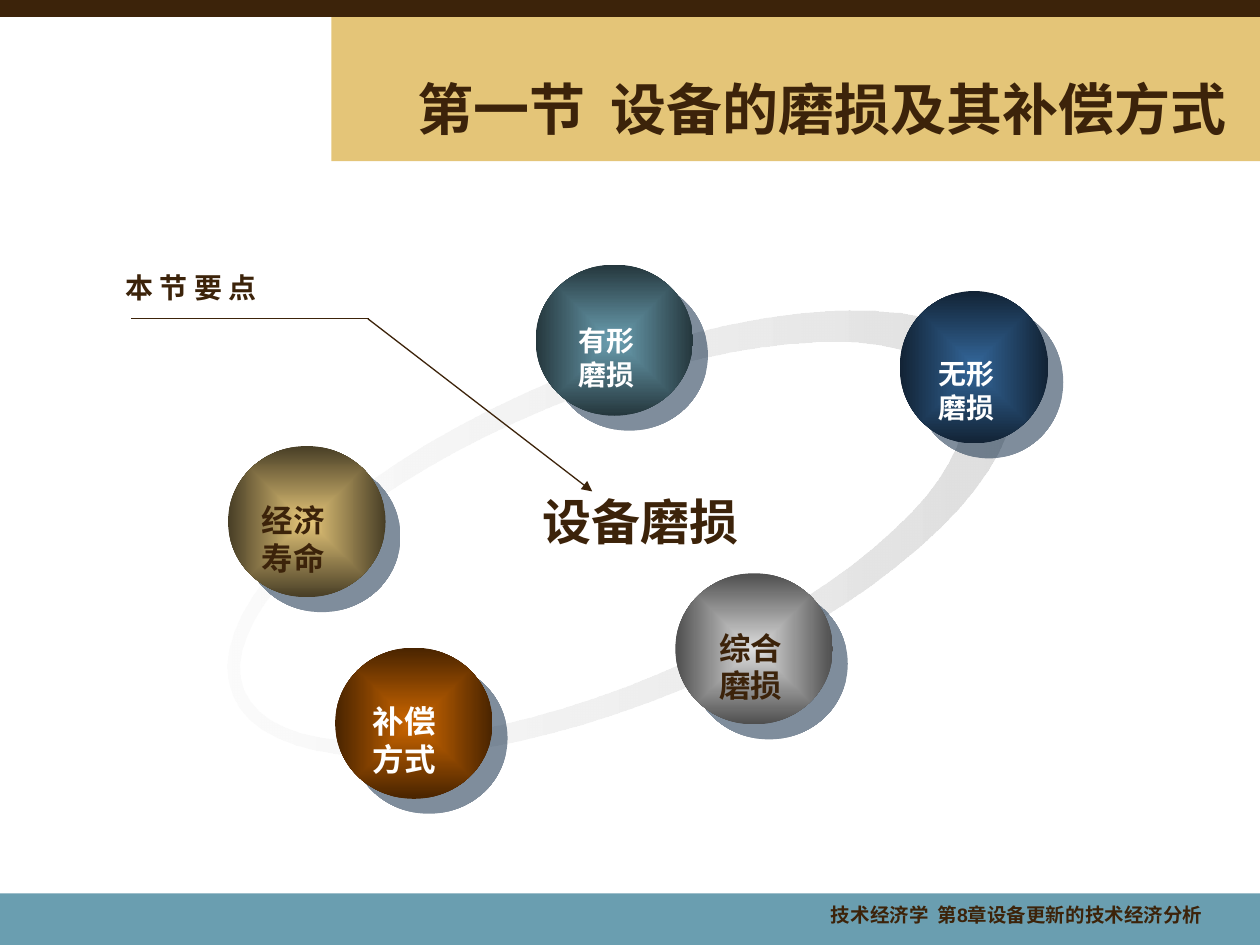
import math
from typing import NamedTuple

from lxml import etree
from pptx import Presentation
from pptx import util as u
from pptx.dml.color import RGBColor
from pptx.enum import shapes, text
from pptx.oxml import ns

COLUMNS, ROWS = 100, 75
CELL = u.Inches(0.1)
FONT = "Arial"
COLORS = {
    "brown": "3C230A", "sand": "E4C578", "teal": "6A9EB0", "white": "FFFFFF",
    "orange": "CC6600", "silver": "DDDDDD", "blue": "336699", "mist": "F5F5F5",
    "dark teal": "25373D", "dark sand": "483E26", "dark orange": "492400",
    "dark silver": "4F4F4F", "dark blue": "122335", "shadow": "001D3A",
}
BALLS = [
    ("有形", "磨损", "teal", "white", 16, (33.5, 0, 12.5, 12), (2.4, 4.2)),
    ("经济", "寿命", "sand", "brown", 18, (9.1, 14.4, 12.5, 12), (1.7, 3.9)),
    ("补偿", "方式", "orange", "white", 18, (17.6, 30.4, 12.5, 12), (2, 3.8)),
    ("综合", "磨损", "silver", "brown", 18, (44.6, 24.5, 12.5, 12), (2.5, 3.9)),
    ("无形", "磨损", "blue", "white", 16, (62.4, 2.1, 11.8, 12.1), (2.1, 4.7)),
]


class Box(NamedTuple):
    left: float
    top: float
    width: float
    height: float

    def inside(self, left, top, width, height):
        return Box(self.left + left, self.top + top, width, height)

    def emu(self):
        return [cells(value) for value in self]


def cells(count):
    return u.Emu(round(count * CELL))


def rgb(name):
    return RGBColor.from_string(COLORS[name])


def add_xml(parent, tag, **attributes):
    return etree.SubElement(parent, ns.qn(tag), attributes)


def add_color(parent, name, opacity=100):
    color = add_xml(parent, "a:srgbClr", val=COLORS[name])
    if opacity < 100:
        add_xml(color, "a:alpha", val=str(opacity * 1000))


def fill_gradient(shape, start, end, angle=None, opacity=100):
    geometry = shape._element.spPr.xpath("a:prstGeom | a:custGeom")[0]
    gradient = etree.Element(ns.qn("a:gradFill"), rotWithShape="1")
    stops = add_xml(gradient, "a:gsLst")
    add_color(add_xml(stops, "a:gs", pos="0"), start, opacity)
    add_color(add_xml(stops, "a:gs", pos="100000"), end)
    if angle is None:
        radial = add_xml(gradient, "a:path", path="rect")
        add_xml(radial, "a:fillToRect", l="50000", t="50000", r="50000", b="50000")
    else:
        add_xml(gradient, "a:lin", ang=str(angle * 60000), scaled="1")
    geometry.addnext(gradient)
    shape.line.fill.background()
    shape.shadow.inherit = False


def add_band(page, box, color):
    band = page.shapes.add_shape(shapes.MSO_SHAPE.RECTANGLE, *box.emu())
    band.shadow.inherit = False
    band.fill.solid()
    band.fill.fore_color.rgb = rgb(color)
    band.line.fill.background()
    return band


def add_text(page, box, lines, size, color="brown", align="LEFT", font=FONT,
             anchor="TOP", wrap=True, spacing=None):
    frame = page.shapes.add_textbox(*box.emu()).text_frame
    frame.word_wrap = wrap
    frame.vertical_anchor = getattr(text.MSO_ANCHOR, anchor)
    for index, line in enumerate(lines):
        para = frame.add_paragraph() if index else frame.paragraphs[0]
        para.alignment = getattr(text.PP_ALIGN, align)
        if spacing:
            para.line_spacing = spacing
        span = para.add_run()
        span.text = line
        span.font.name = font
        span.font.size = u.Pt(size)
        span.font.bold = True
        span.font.color.rgb = rgb(color)


def add_line(page, box, start, end, arrow=False):
    ends = [cells(origin + shift) for point in (start, end)
            for origin, shift in zip((box.left, box.top), point)]
    line = page.shapes.add_connector(shapes.MSO_CONNECTOR.STRAIGHT, *ends)
    line.line.color.rgb = rgb("brown")
    line.line.width = u.Pt(0.75)
    if arrow:
        add_xml(line.line._get_or_add_ln(), "a:tailEnd", type="triangle")
    add_xml(line._element.spPr, "a:effectLst")


def ellipse_points(center, radii, direction, count=72):
    turns = [direction * 2 * math.pi * step / count for step in range(count)]
    return [(cells(center[0] + radii[0] * math.cos(turn)),
             cells(center[1] + radii[1] * math.sin(turn))) for turn in turns]


def add_orbit(page, box):
    radii = box.width / 2, box.height / 2
    center = box.left + radii[0], box.top + radii[1]
    outer = ellipse_points(center, radii, 1)
    inner = ellipse_points((center[0] - 1.6, center[1]), (30.7, 11.4), -1)
    builder = page.shapes.build_freeform(*outer[0], scale=1.0)
    builder.add_line_segments(outer[1:], close=True)
    builder.move_to(*inner[0])
    builder.add_line_segments(inner[1:], close=True)
    orbit = builder.convert_to_shape()
    orbit.rotation = 337.4
    fill_gradient(orbit, "mist", "silver", angle=23, opacity=36)


def add_ball(page, box, color):
    ball = page.shapes.add_shape(shapes.MSO_SHAPE.OVAL, *box.emu())
    fill_gradient(ball, color, f"dark {color}")
    effects = ball._element.spPr.find(ns.qn("a:effectLst"))
    shadow = add_xml(effects, "a:outerShdw", blurRad="0", dist=str(u.Pt(12.1)),
                     dir=str(45 * 60000), algn="ctr", rotWithShape="0")
    add_color(shadow, "shadow", 50)


def draw_header(page, box):
    add_band(page, box.inside(26.3, 1.3, 73.7, 11.5), "sand")
    bar = add_band(page, box.inside(0, 0, box.width, 1.3), "brown")
    bar.line.color.rgb = rgb("brown")
    bar.line.width = u.Pt(0.75)
    add_text(page, box.inside(29.2, 5.5, 69.2, 6.2), ["第一节  设备的磨损及其补偿方式"],
             32, align="RIGHT", anchor="MIDDLE")


def draw_footer(page, box):
    add_band(page, box, "teal")
    add_text(page, box.inside(61.8, 0.5, 34.6, 3.3),
             ["技术经济学  第8章设备更新的技术经济分析"], 11.1, align="RIGHT", spacing=0.9)


def draw_diagram(page, box):
    add_orbit(page, box.inside(6.9, 8.1, 66.6, 26.5))
    for first, second, color, ink, size, place, inset in BALLS:
        ball = box.inside(*place)
        add_ball(page, ball, color)
        label = ball.inside(*inset, 0.2 + 0.41 * size, 0.39 * size)
        add_text(page, label, [first, second], size, ink, wrap=False)
    add_text(page, box.inside(29.2, 17.5, 25.2, 5.7), ["设备磨损"], 28, align="CENTER")
    add_line(page, box, (20.2, 4.3), (38, 18), arrow=True)
    add_line(page, box, (20.3, 4.3), (1.4, 4.3))
    add_text(page, box.inside(0, 0, 22.5, 3.7), ["本 节 要 点"], 16, font="DejaVu Sans")


def main():
    deck = Presentation()
    deck.slide_width, deck.slide_height = cells(COLUMNS), cells(ROWS)
    page = deck.slides.add_slide(deck.slide_layouts[6])
    draw_header(page, Box(0, 0, COLUMNS, 12.8))
    draw_footer(page, Box(0, 70.9, COLUMNS, 4.4))
    draw_diagram(page, Box(9, 21, 76, 43))
    deck.save("out.pptx")


if __name__ == "__main__":
    main()
